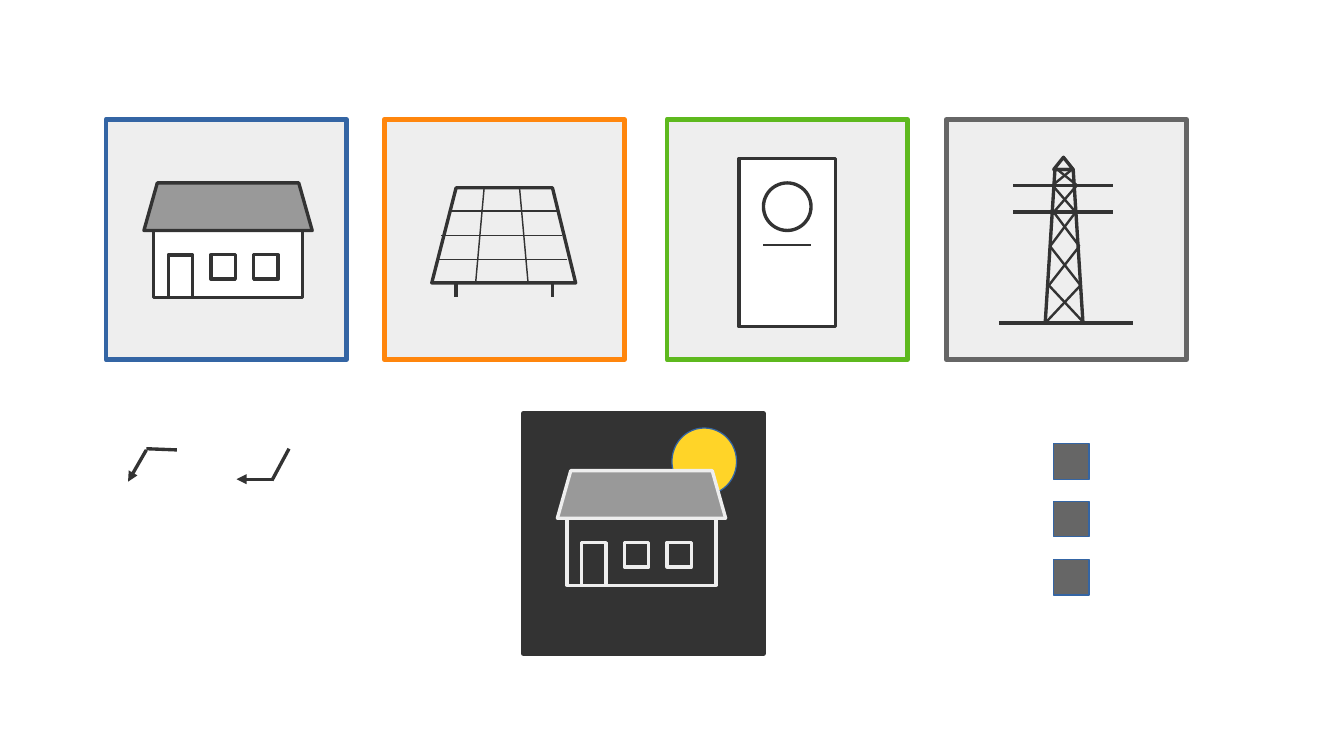
"""Build a slide of energy icons: house, solar panel, battery, pylon and a sunlit house."""
from itertools import pairwise

from lxml import etree
from pptx import Presentation
from pptx import util as u
from pptx.dml.color import RGBColor
from pptx.enum import shapes
from pptx.oxml.ns import qn

PX = 9144
INK = RGBColor(0x33, 0x33, 0x33)
PALE = RGBColor(0xEE, 0xEE, 0xEE)
WHITE = RGBColor(0xFF, 0xFF, 0xFF)
ROOF = RGBColor(0x99, 0x99, 0x99)
GREY = RGBColor(0x66, 0x66, 0x66)
BLUE = RGBColor(0x34, 0x65, 0xA4)
ORANGE = RGBColor(0xFF, 0x86, 0x0D)
GREEN = RGBColor(0x5E, 0xB9, 0x1E)
YELLOW = RGBColor(0xFF, 0xD4, 0x28)
FRAME, THICK, THIN, FINE = 2.83, 1.98, 1.42, 0.85
RECT = shapes.MSO_SHAPE.RECTANGLE
OVAL = shapes.MSO_SHAPE.OVAL
TRIANGLE = shapes.MSO_SHAPE.ISOSCELES_TRIANGLE


def add_outline(group, kind, place, fill=None, color=INK, width=THICK):
    """Add a preset shape in a box, or a closed polygon when kind is None."""
    if kind is None:
        builder = group.shapes.build_freeform(*place[0], scale=PX)
        builder.add_line_segments(place[1:], close=True)
        shape = builder.convert_to_shape()
    else:
        shape = group.shapes.add_shape(kind, *[value * PX for value in place])
    shape.shadow.inherit = False
    if fill is None:
        shape.fill.background()
    else:
        shape.fill.solid()
        shape.fill.fore_color.rgb = fill
    shape.line.color.rgb = color
    shape.line.width = u.Pt(width)
    etree.SubElement(shape.line._get_or_add_ln(), qn("a:round"))


def add_stroke(group, start, end, width=THICK, arrow=False):
    """Add a straight line, with an arrowhead at its start if asked."""
    ends = [value * PX for value in (*start, *end)]
    stroke = group.shapes.add_connector(shapes.MSO_CONNECTOR.STRAIGHT, *ends)
    stroke.line.color.rgb = INK
    stroke.line.width = u.Pt(width)
    if arrow:
        etree.SubElement(stroke.line._get_or_add_ln(), qn("a:headEnd"), type="triangle")
    etree.SubElement(stroke._element.spPr, qn("a:effectLst"))


deck = Presentation()
deck.slide_width, deck.slide_height = 1102 * PX, 620 * PX
slide = deck.slides.add_slide(deck.slide_layouts[6])
house, panel, battery, pylon, sunny_house, squares, down_arrow, left_arrow = [
    slide.shapes.add_group_shape() for _ in range(8)]

for group, left, top, fill, color in [
        (house, 87, 98, PALE, BLUE), (panel, 315, 98, PALE, ORANGE),
        (battery, 547, 98, PALE, GREEN), (pylon, 776, 98, PALE, GREY),
        (sunny_house, 429, 339, INK, INK)]:
    add_outline(group, RECT, (left, top, 197, 197), fill, color, FRAME)

add_outline(sunny_house, OVAL, (551, 351, 53, 55), YELLOW, BLUE, 0)
for group, x, y, wall, color in [(house, 118, 150, WHITE, INK),
                                 (sunny_house, 457, 386, None, PALE)]:
    add_outline(group, RECT, (x + 8, y + 39, 122, 55), wall, color)
    roof = [(x, y + 39), (x + 138, y + 39), (x + 127, y), (x + 11, y)]
    add_outline(group, None, roof, ROOF, color)
    for offset, height in [(20, 35), (55, 20), (90, 20)]:
        add_outline(group, RECT, (x + offset, y + 59, 20, height), wall, color)

add_outline(panel, None, [(374, 154), (453, 154), (472, 232), (354, 232)])
for x in (374, 453):
    add_stroke(panel, (x, 232), (x, 244))
for left, right, y in [(370, 457, 173), (362, 461, 193), (358, 465, 213)]:
    add_stroke(panel, (left, y), (right, y), FINE)
for top, bottom in [(397, 390), (426, 433)]:
    add_stroke(panel, (top, 154), (bottom, 232), FINE)

add_outline(battery, RECT, (606, 130, 79, 138), WHITE)
add_outline(battery, OVAL, (626, 150, 39, 39), WHITE)
add_stroke(battery, (626, 201), (665, 201), THIN)

add_outline(pylon, None, [(857, 265), (888, 265), (880, 139), (865, 139)])
for left, right, y in [(819, 929, 265), (831, 913, 152), (831, 913, 174)]:
    add_stroke(pylon, (left, y), (right, y))
levels = (139, 152, 174, 202, 234, 265)
for brace in [(879, 863, 882, 861, 886, 857), (867, 883, 864, 885, 860, 889)]:
    for start, end in pairwise(zip(brace, levels)):
        add_stroke(pylon, start, end, THIN)
add_outline(pylon, TRIANGLE, (864, 129, 16, 10))

for y in (364, 411, 459):
    add_outline(squares, RECT, (864, y, 29, 29), GREY, BLUE, 0)

add_stroke(down_arrow, (105, 395), (120, 369), arrow=True)
add_stroke(down_arrow, (120, 368), (145, 369))
add_stroke(left_arrow, (223, 394), (237, 368))
add_stroke(left_arrow, (194, 393), (224, 393), arrow=True)

deck.save("out.pptx")
